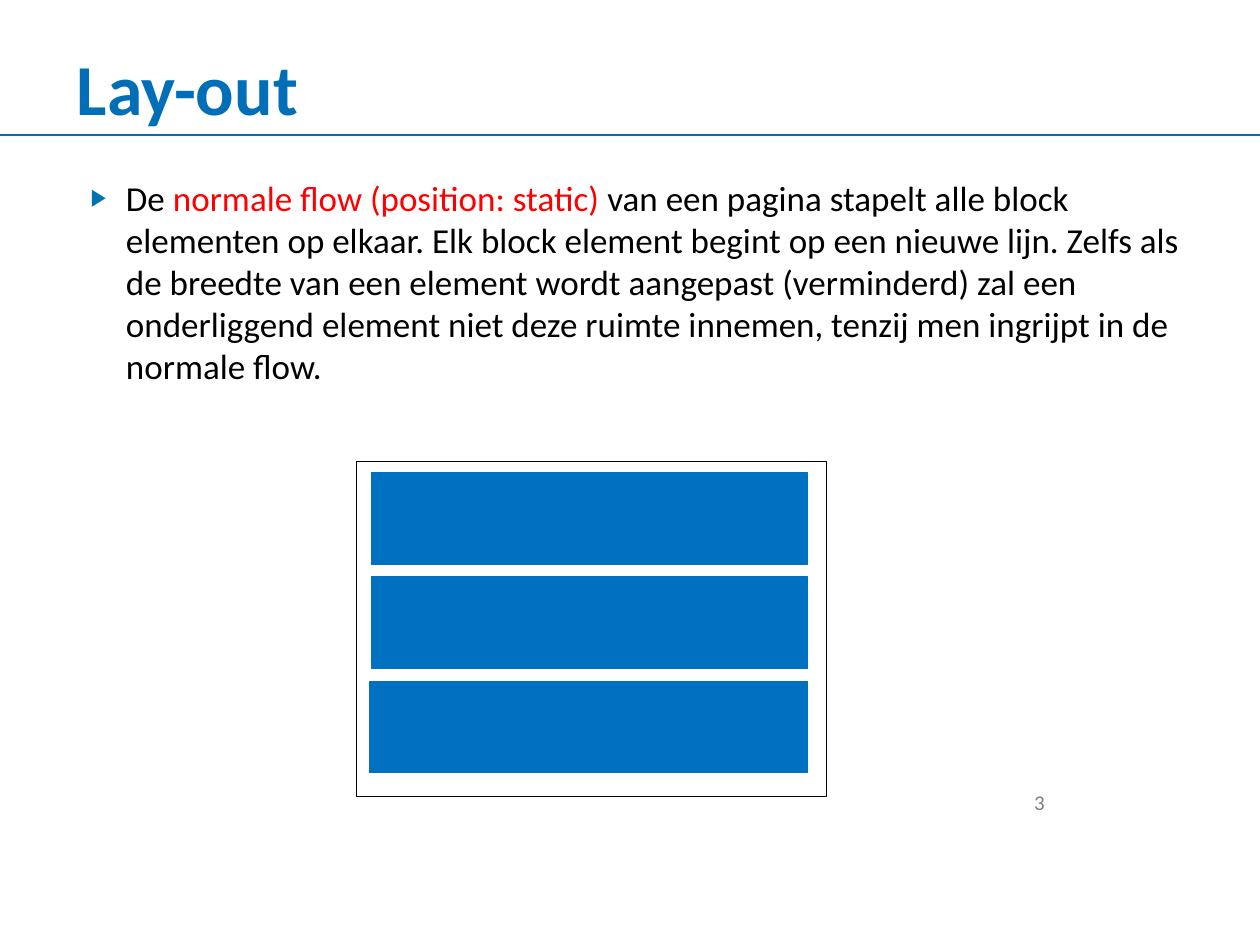
"""Build the Lay-out slide about the normal flow of block elements."""
from dataclasses import dataclass

from lxml.etree import SubElement as Sub
from pptx import Presentation
from pptx.dml.color import RGBColor as RGB
from pptx.enum.shapes import MSO_CONNECTOR as Link, MSO_SHAPE as Form
from pptx.enum.text import MSO_ANCHOR as Anchor
from pptx.oxml.ns import qn
from pptx.util import Cm, Pt


@dataclass(frozen=True)
class Theme:
    font: str = "Calibri"
    title: str = "006FB8"
    mark: str = "0073AE"
    bar: str = "0070C0"
    ink: str = "000000"
    key: str = "FF0000"
    page: str = "7F7F7F"
    big: float = 41
    body: float = 20
    small: float = 12


theme = Theme()


def add_text(box, parts, size, anchor=Anchor.TOP, pad=None, bold=False):
    left, top, width, height = map(Cm, box)
    frame = slide.shapes.add_textbox(left, top, width, height).text_frame
    frame.word_wrap = True
    frame.vertical_anchor = anchor
    if pad is not None:
        frame.margin_left = frame.margin_right = Cm(pad)
        frame.margin_top = frame.margin_bottom = Cm(pad)
    para = frame.paragraphs[0]
    for words, tint in parts:
        run = para.add_run()
        run.text = words
        run.font.name = theme.font
        run.font.size = Pt(size)
        run.font.bold = bold
        run.font.color.rgb = RGB.from_string(tint)
    return para


def add_rect(box, edge, fill=None):
    left, top, width, height = map(Cm, box)
    rect = slide.shapes.add_shape(Form.RECTANGLE, left, top, width, height)
    rect.shadow.inherit = False
    if fill:
        rect.fill.solid()
        rect.fill.fore_color.rgb = RGB.from_string(fill)
    else:
        rect.fill.background()
    rect.line.color.rgb = RGB.from_string(edge)
    rect.line.width = Pt(0.5)


deck = Presentation()
deck.slide_width, deck.slide_height = Cm(25.4), Cm(19.05)
slide = deck.slides.add_slide(deck.slide_layouts[6])

rule = slide.shapes.add_connector(Link.STRAIGHT, 0, Cm(2.72), Cm(25.4), Cm(2.72))
rule.line.color.rgb = RGB.from_string(theme.title)
rule.line.width = Pt(1)
Sub(rule.element.spPr, qn("a:effectLst"))

add_text((1.3, 0.36, 22.76, 2.77), [("Lay-out", theme.title)],
         theme.big, Anchor.MIDDLE, bold=True)

story = [
    ("De ", theme.ink),
    ("normale flow (position: static) ", theme.key),
    ("van een pagina stapelt alle block elementen op elkaar. "
     "Elk block element begint op een nieuwe lijn. "
     "Zelfs als de breedte van een element wordt aangepast (verminderd) "
     "zal een onderliggend element niet deze ruimte innemen, "
     "tenzij men ingrijpt in de normale flow.", theme.ink),
]
para = add_text((1.27, 3.43, 22.83, 14.1), story, theme.body)
props = para._p.get_or_add_pPr()
props.set("marL", str(Cm(1.02)))
props.set("indent", str(Cm(-0.71)))
Sub(Sub(props, qn("a:buClr")), qn("a:srgbClr"), val=theme.mark)
Sub(props, qn("a:buSzPct"), val="68000")
Sub(props, qn("a:buFont"), typeface=theme.font)
Sub(props, qn("a:buChar"), char="▶")

add_text((20.85, 15.67, 1.37, 0.76), [("3", theme.page)],
         theme.small, Anchor.BOTTOM, pad=0)

add_rect((7.19, 9.3, 9.47, 6.76), theme.ink)
for row, left in enumerate((7.49, 7.49, 7.44)):
    add_rect((left, 9.53 + 2.1 * row, 16.28 - left, 1.85), theme.bar, theme.bar)

deck.save("out.pptx")
